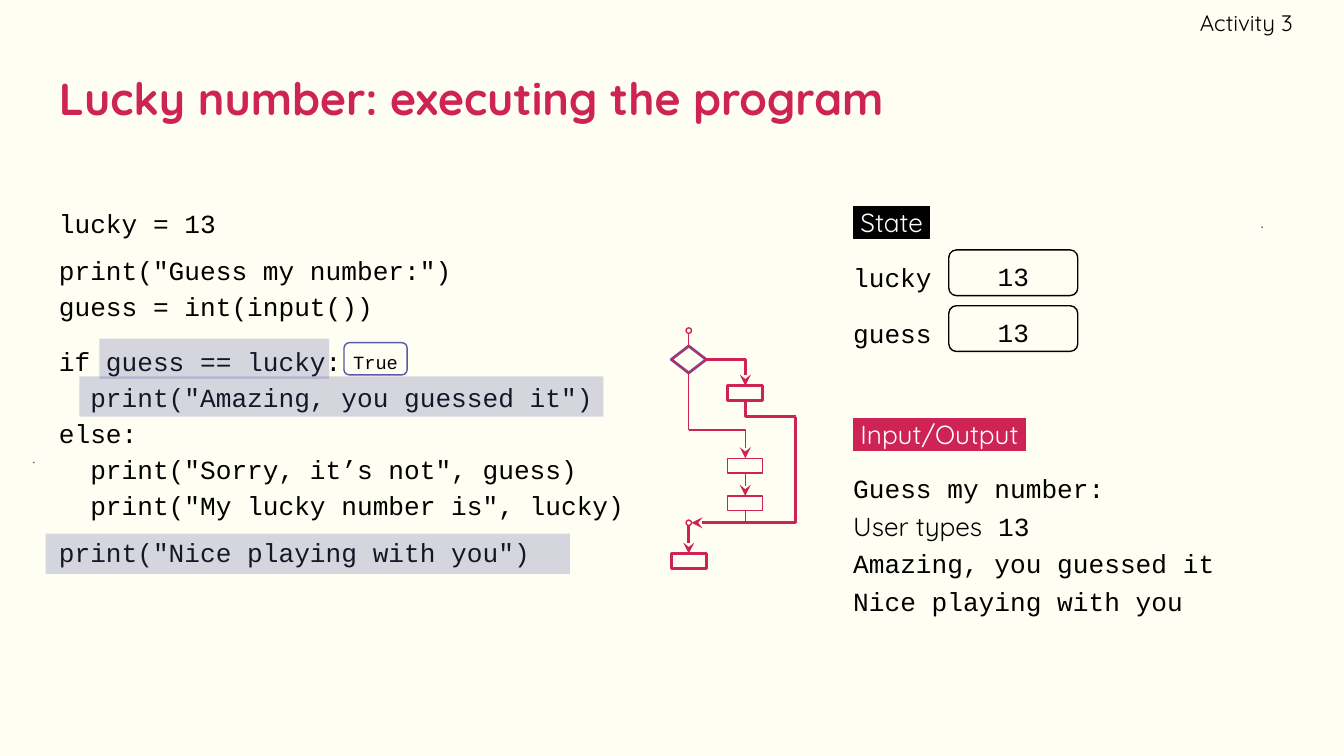
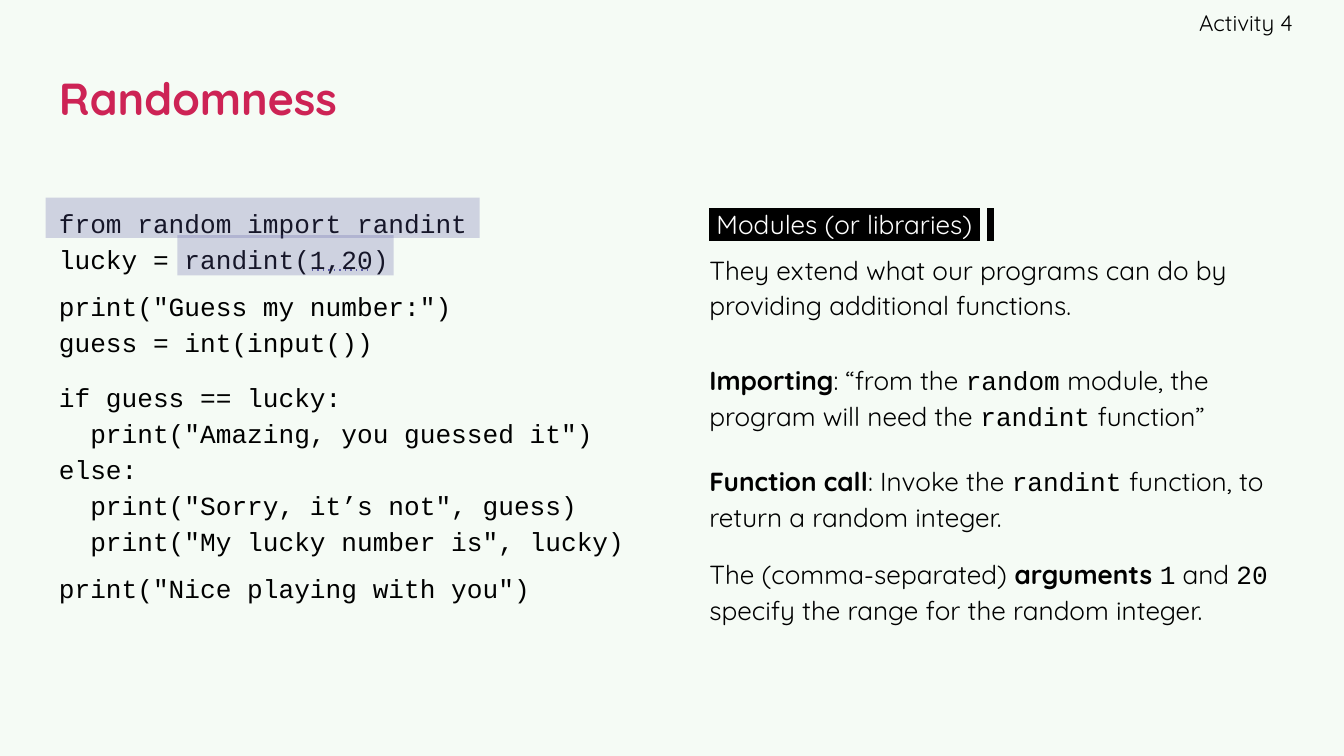
from dataclasses import dataclass
from typing import NamedTuple

from lxml import etree
from pptx import Presentation
from pptx.dml.color import RGBColor
from pptx.enum.shapes import MSO_CONNECTOR, MSO_SHAPE
from pptx.enum.text import MSO_ANCHOR, PP_ALIGN
from pptx.oxml.ns import qn
from pptx.util import Inches, Pt

SLIDE_WIDTH = Inches(10)
SLIDE_HEIGHT = SLIDE_WIDTH * 9 // 16
COLUMN, ROW = SLIDE_WIDTH / 100, SLIDE_HEIGHT / 56.25

RECT, ROUNDED = MSO_SHAPE.RECTANGLE, MSO_SHAPE.ROUNDED_RECTANGLE
CIRCLE, DECISION = MSO_SHAPE.OVAL, MSO_SHAPE.FLOWCHART_DECISION
STRAIGHT, ELBOW = MSO_CONNECTOR.STRAIGHT, MSO_CONNECTOR.ELBOW
LEFT, CENTER, RIGHT = PP_ALIGN.LEFT, PP_ALIGN.CENTER, PP_ALIGN.RIGHT
TOP, MIDDLE = MSO_ANCHOR.TOP, MSO_ANCHOR.MIDDLE
TOP_SITE, BOTTOM_SITE = 0, 2

CREAM, MINT = "FFFEF2", "F5FBF5"
CRIMSON, PURPLE, BLACK, WHITE = "CD2355", "5B5BA5", "000000", "FFFFFF"
PROSE_FONT, CODE_FONT = "Quicksand", "Courier New"
THIN, THICK = 0.75, 1.5
CODE_SPACING, PROSE_SPACING = 1.15, 1.14


class Box(NamedTuple):
    """A place on the slide, in grid columns and rows."""
    left: float
    top: float
    width: float
    height: float

    def emu(self) -> tuple:
        return (round(self.left * COLUMN), round(self.top * ROW),
                round(self.width * COLUMN), round(self.height * ROW))


class Style(NamedTuple):
    font: str = PROSE_FONT
    size: float = 14
    color: str = BLACK
    bold: bool = False


class Span(NamedTuple):
    text: str
    style: Style = Style()
    highlight: str = ""


@dataclass
class Line:
    spans: list
    before: float = 0
    spacing: float = PROSE_SPACING
    align: PP_ALIGN = LEFT


@dataclass
class Explanation:
    top: float
    spans: list


@dataclass
class Arrow:
    start: tuple
    end: tuple
    weight: float = THIN
    kind: MSO_CONNECTOR = STRAIGHT
    head: bool = False
    color: str = CRIMSON
    dash: str = ""


PROSE, STRONG = Style(), Style(bold=True)
CODE, SMALL_CODE = Style(CODE_FONT), Style(CODE_FONT, 10)
TITLE = Style(size=24, color=CRIMSON, bold=True)
ACTIVITY, LABEL = Style(size=12), Style(color=WHITE)
INSET = (0.1, 0.1, 0.1, 0.1)
VALUE_INSET = (0.1, 0.02, 0.1, 0)


def rgb(color: str) -> RGBColor:
    return RGBColor.from_string(color)


def set_font(font, style: Style) -> None:
    font.name, font.size, font.bold = style.font, Pt(style.size), style.bold
    font.color.rgb = rgb(style.color)


def write(shape, lines: list, inset: tuple = INSET, anchor=TOP) -> None:
    frame = shape.text_frame
    frame.word_wrap, frame.vertical_anchor = True, anchor
    (frame.margin_left, frame.margin_top,
     frame.margin_right, frame.margin_bottom) = map(Inches, inset)
    for index, line in enumerate(lines):
        paragraph = frame.add_paragraph() if index else frame.paragraphs[0]
        paragraph.alignment, paragraph.line_spacing = line.align, line.spacing
        paragraph.space_before = Pt(line.before)
        uniform = len({span.style for span in line.spans}) == 1
        if uniform:
            set_font(paragraph.font, line.spans[0].style)
        for span in line.spans:
            run = paragraph.add_run()
            run.text = span.text
            if not uniform:
                set_font(run.font, span.style)
            if span.highlight:
                marker = etree.SubElement(run._r.get_or_add_rPr(), qn("a:highlight"))
                etree.SubElement(marker, qn("a:srgbClr"), val=span.highlight)


def add_text(slide, box: Box, lines: list, inset: tuple = INSET, anchor=TOP) -> None:
    write(slide.shapes.add_textbox(*box.emu()), lines, inset, anchor)


def code_line(text: str, before: float = 0, spacing: float = CODE_SPACING) -> Line:
    return Line([Span(text, CODE)], before, spacing)


def label_line(text: str, color: str) -> Line:
    return Line([Span(f" {text} ", LABEL, color)])


def add_outline(slide, kind, box: Box, color: str = CRIMSON, weight: float = THIN):
    shape = slide.shapes.add_shape(kind, *box.emu())
    shape.shadow.inherit = False
    shape.fill.background()
    shape.line.color.rgb = rgb(color)
    shape.line.width = Pt(weight)
    return shape


def add_value(slide, box: Box, text: str, color: str, style: Style, inset: tuple) -> None:
    """Draw a rounded box that holds one value."""
    shape = add_outline(slide, ROUNDED, box, color)
    shape.adjustments[0] = 0.167
    write(shape, [Line([Span(text, style)], 0, CODE_SPACING, CENTER)], inset, MIDDLE)


def add_marker(slide, box: Box) -> None:
    """Lay a see-through band over a piece of code."""
    shape = slide.shapes.add_shape(RECT, *box.emu())
    shape.shadow.inherit = False
    shape.fill.solid()
    shape.fill.fore_color.rgb = rgb(PURPLE)
    tint = shape._element.spPr.find(f"{qn('a:solidFill')}/{qn('a:srgbClr')}")
    etree.SubElement(tint, qn("a:alpha"), val="25000")
    shape.line.fill.background()


def add_arrow(slide, arrow: Arrow):
    (x1, y1), (x2, y2) = arrow.start, arrow.end
    connector = slide.shapes.add_connector(
        arrow.kind, round(x1 * COLUMN), round(y1 * ROW),
        round(x2 * COLUMN), round(y2 * ROW))
    connector.line.color.rgb = rgb(arrow.color)
    connector.line.width = Pt(arrow.weight)
    properties = connector._element.spPr
    stroke = properties.find(qn("a:ln"))
    if arrow.kind == ELBOW:
        properties.find(qn("a:prstGeom")).set("prst", "bentConnector2")
    if arrow.dash:
        etree.SubElement(stroke, qn("a:prstDash"), val=arrow.dash)
    if arrow.head:
        etree.SubElement(stroke, qn("a:tailEnd"), type="stealth")
    etree.SubElement(properties, qn("a:effectLst"))
    return connector


def add_lesson_slide(deck, background: str, title: str, activity: str):
    slide = deck.slides.add_slide(deck.slide_layouts[6])
    slide.background.fill.solid()
    slide.background.fill.fore_color.rgb = rgb(background)
    add_text(slide, Box(3.4, 3.4, 93.2, 7.7),
             [Line([Span(title, TITLE)], spacing=1.0)], anchor=MIDDLE)
    add_text(slide, Box(74.8, 0, 21.4, 3.4),
             [Line([Span(activity, ACTIVITY)], spacing=1.0, align=RIGHT)],
             (0.1, 0.1, 0, 0.1), MIDDLE)
    return slide


def add_program(slide, opening: list, height: float) -> None:
    """Write the game's code after the given opening lines."""
    add_text(slide, Box(3.4, 14.1, 48.4, height), [
        *map(code_line, opening),
        code_line('print("Guess my number:")', 6, PROSE_SPACING),
        code_line("guess = int(input())"),
        code_line("if guess == lucky:", 10),
        code_line('  print("Amazing, you guessed it")'),
        code_line("else:"),
        code_line('  print("Sorry, it’s not", guess)'),
        code_line('  print("My lucky number is", lucky)'),
        code_line('print("Nice playing with you")', 6, PROSE_SPACING),
    ])


def add_flowchart(slide) -> None:
    main, branch, bypass = 51.25, 55.45, 59.2
    merge, turn, split = 38.9, 32, 26.75

    def step(center: float, top: float, weight: float = THIN):
        return add_outline(slide, RECT, Box(center - 1.3, top, 2.6, 1.1), weight=weight)

    for top in (24.4, 38.7):
        add_outline(slide, CIRCLE, Box(main - 0.2, top, 0.4, 0.4))
    decision_box = Box(main - 1.3, 25.75, 2.6, 2)
    add_outline(slide, DECISION, decision_box, PURPLE, THICK)
    decision = add_outline(slide, DECISION, decision_box)
    step(branch, 28.7, THICK)
    sorry, reveal = step(branch, 34.1), step(branch, 36.9)
    goodbye = step(main, 41.2, THICK)

    for arrow in (
        Arrow((main, turn), (branch, 34.1), THIN, ELBOW, True),
        Arrow((main + 1.3, split), (branch, 28.7), THICK, ELBOW, True),
        Arrow((bypass, 31), (branch, 29.8), THICK, ELBOW),
        Arrow((branch, merge), (bypass, 31), THICK, ELBOW),
        Arrow((branch, merge), (main + 0.2, merge), THICK, head=True),
    ):
        add_arrow(slide, arrow)

    enter = add_arrow(slide, Arrow((main, 24.8), (main, 25.75)))
    enter.end_connect(decision, TOP_SITE)
    otherwise = add_arrow(slide, Arrow((main, 27.75), (main, turn)))
    otherwise.begin_connect(decision, BOTTOM_SITE)
    between = add_arrow(slide, Arrow((branch, 35.2), (branch, 36.9), head=True))
    between.begin_connect(sorry, BOTTOM_SITE)
    between.end_connect(reveal, TOP_SITE)
    rejoin = add_arrow(slide, Arrow((branch, 38), (branch, merge)))
    rejoin.begin_connect(reveal, BOTTOM_SITE)
    finish = add_arrow(slide, Arrow((main, 39.1), (main, 41.2), THICK, head=True))
    finish.end_connect(goodbye, TOP_SITE)


def build_execution(deck) -> None:
    slide = add_lesson_slide(deck, CREAM, "Lucky number: executing the program", "Activity 3")
    add_program(slide, ["lucky = 13"], 29.3)
    add_flowchart(slide)
    for left, top in ((93.9, 16.9), (2.5, 34.4)):
        add_outline(slide, CIRCLE, Box(left, top, 0.02, 0.02), PURPLE)

    panel = 62.5
    for text, top, color in (("State", 14, BLACK), ("Input/Output", 29.8, CRIMSON)):
        add_text(slide, Box(panel, top, 17.8, 4), [label_line(text, color)])
    for index, variable in enumerate(("lucky", "guess")):
        top = 18.1 + 4.15 * index
        add_text(slide, Box(panel, top, 13.4, 4), [code_line(variable)])
        add_value(slide, Box(70.6, top + 0.5, 9.6, 3.4), "13", BLACK, CODE, VALUE_INSET)
    dialogue = (
        [Span("Guess my number:", CODE)],
        [Span("User types", PROSE), Span(" 13", CODE)],
        [Span("Amazing, you guessed it", CODE)],
        [Span("Nice playing with you", CODE)],
    )
    for index, spans in enumerate(dialogue):
        add_text(slide, Box(panel, 33.8 + 2.8 * index, 34.1, 4),
                 [Line(spans, spacing=CODE_SPACING)])

    for marked in (Box(7.4, 25.2, 17.1, 3), Box(5.9, 28, 39, 3), Box(3.4, 39.7, 39, 3)):
        add_marker(slide, marked)
    add_value(slide, Box(25.6, 25.5, 4.7, 2.4), "True", PURPLE, SMALL_CODE, (0, 0.02, 0, 0))


def build_randomness(deck) -> None:
    slide = add_lesson_slide(deck, MINT, "Randomness", "Activity 4")
    add_program(slide, ["from random import randint", "lucky = randint(1,20)"], 32.3)
    for marked in (Box(3.4, 14.7, 32.3, 3), Box(13.2, 17.5, 16.1, 3)):
        add_marker(slide, marked)
    add_arrow(slide, Arrow((23.2, 20.1), (27.7, 20.1), color=PURPLE, dash="dot"))

    column, width, inset = 51.8, 44.7, (0.1, 0.1, 0.06, 0.1)
    heading = label_line("Modules (or libraries)", BLACK)
    heading.spacing = 1.13
    heading.spans += [Span(" ", LABEL), Span(" ", LABEL, BLACK)]
    purpose = "They extend what our programs can do by providing additional functions."
    add_text(slide, Box(column, 14.2, width, 10.4),
             [heading, Line([Span(purpose)], 6, 1.12)], inset)
    for explanation in (
        Explanation(25.8, [
            Span("Importing", STRONG), Span(": “from the "), Span("random", CODE),
            Span(" module, the program will need the "), Span("randint", CODE),
            Span(" function”")]),
        Explanation(33.3, [
            Span("Function call", STRONG), Span(": Invoke the "), Span("randint", CODE),
            Span(" function, to return a random integer.")]),
        Explanation(40.2, [
            Span("The (comma-separated) "), Span("arguments ", STRONG), Span("1", CODE),
            Span(" and "), Span("20", CODE),
            Span(" specify the range for the random integer.")]),
    ):
        add_text(slide, Box(column, explanation.top, width, 7.1),
                 [Line(explanation.spans)], inset)


def main() -> None:
    deck = Presentation()
    deck.slide_width, deck.slide_height = SLIDE_WIDTH, SLIDE_HEIGHT
    build_execution(deck)
    build_randomness(deck)
    deck.save("out.pptx")


if __name__ == "__main__":
    main()
